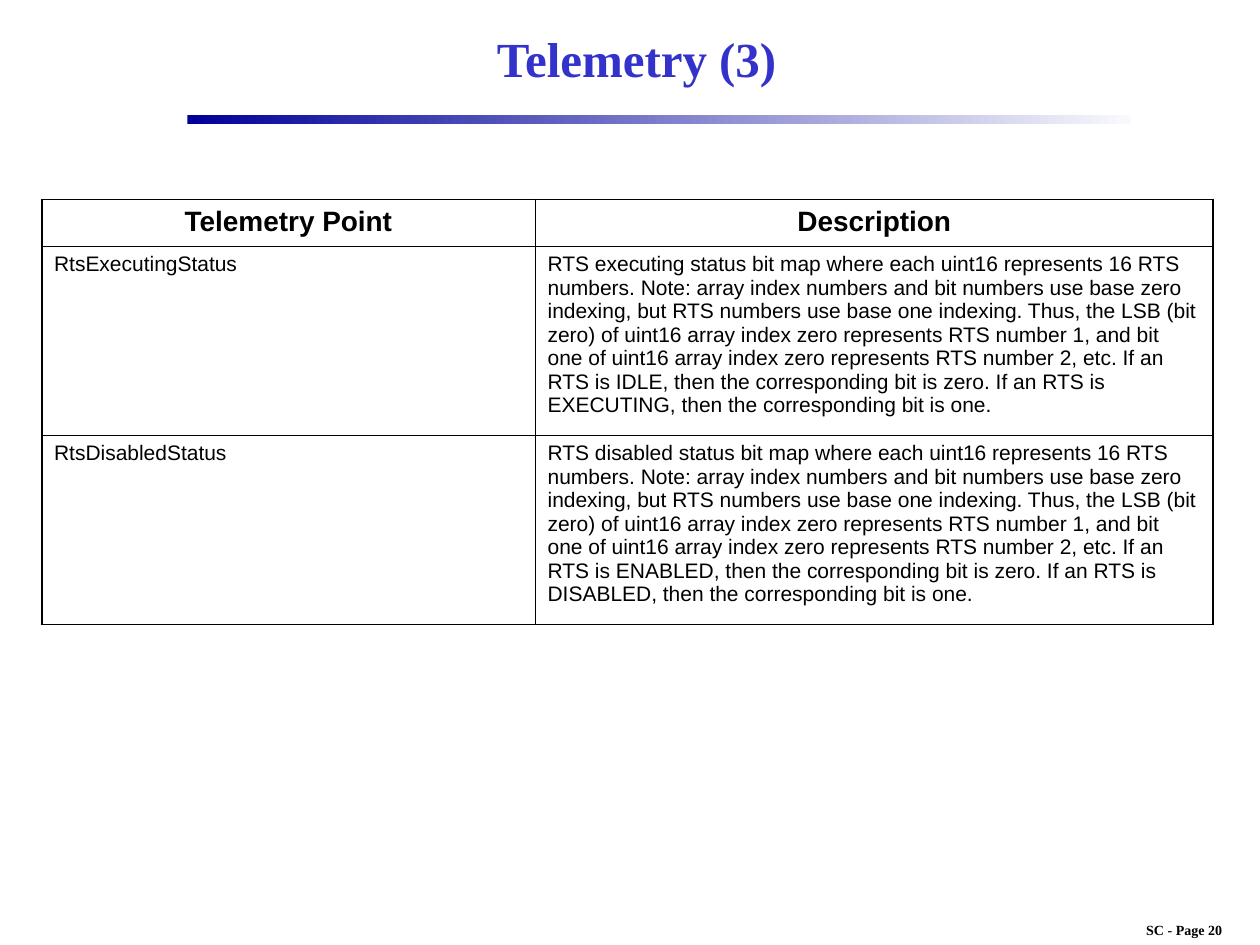
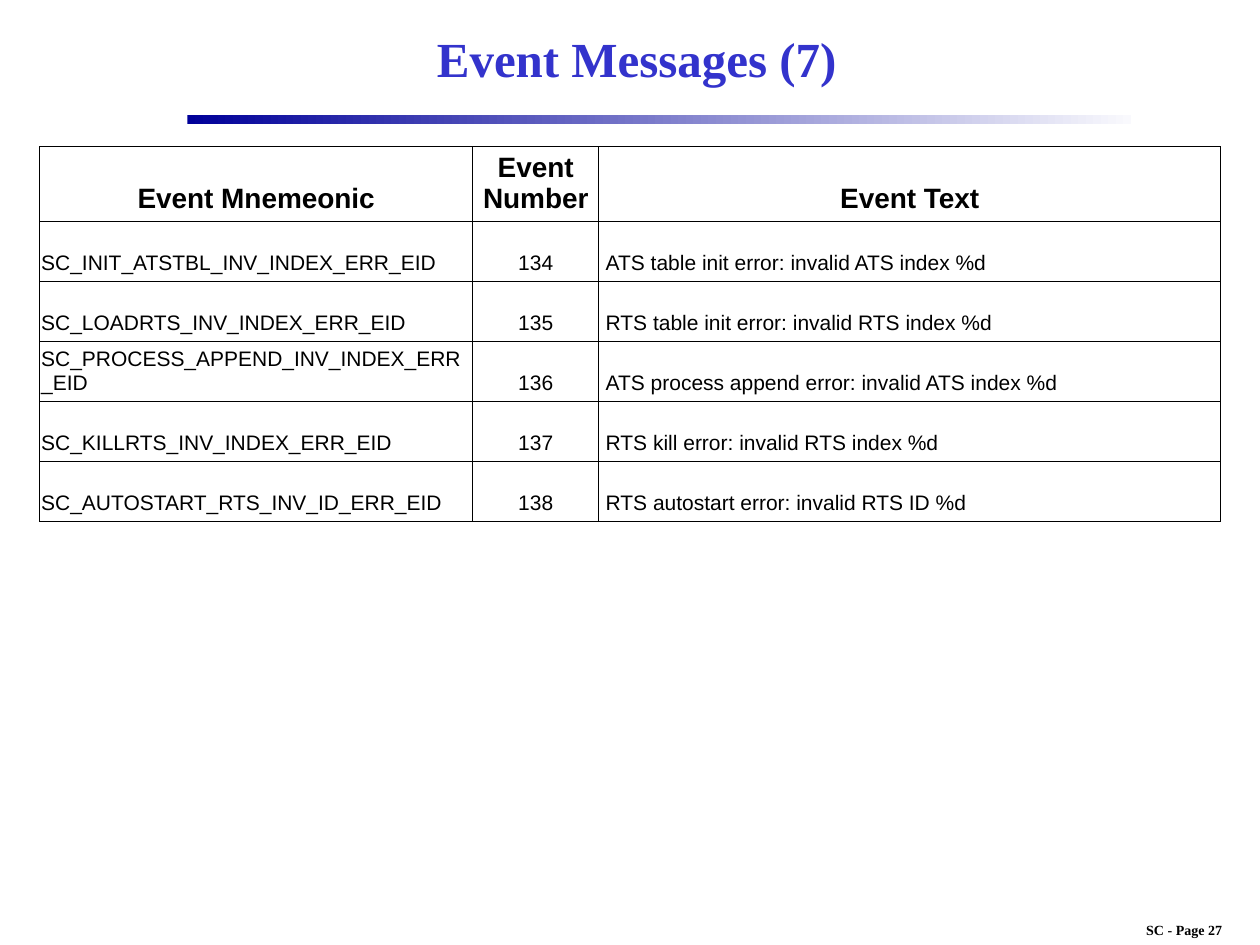
"""Build two table slides: telemetry points and event messages."""
from lxml import etree
from pptx import Presentation
from pptx.dml.color import RGBColor
from pptx.enum.shapes import MSO_SHAPE
from pptx.enum.text import MSO_ANCHOR, MSO_AUTO_SIZE, PP_ALIGN
from pptx.oxml.ns import qn
from pptx.util import Cm, Pt

LEFT, CENTER = PP_ALIGN.LEFT, PP_ALIGN.CENTER
TOP, MIDDLE, BOTTOM = MSO_ANCHOR.TOP, MSO_ANCHOR.MIDDLE, MSO_ANCHOR.BOTTOM
RECTANGLE = MSO_SHAPE.RECTANGLE
NO_AUTO_SIZE = MSO_AUTO_SIZE.NONE

TITLE_BLUE = RGBColor(0x33, 0x33, 0xCC)
BAND_START = RGBColor(0x00, 0x00, 0x99)
BAND_END = RGBColor(0xF9, 0xF9, 0xFD)
BLACK = RGBColor(0x00, 0x00, 0x00)
SERIF, SANS = "Times New Roman", "Arial"

TITLE_PLACE = (3.87, 0.22, 17.93, 1.9)
BAND_PLACE = (3.78, 2.32, 19.02, 0.18)
FOOTER_PLACE = (22.35, 18.45, 3.05, 0.58)
THIN = 0.45

BIT_MAP_TEXT = (
    "RTS {name} status bit map where each uint16 represents 16 RTS numbers. "
    "Note: array index numbers and bit numbers use base zero indexing, but RTS "
    "numbers use base one indexing. Thus, the LSB (bit zero) of uint16 array "
    "index zero represents RTS number 1, and bit one of uint16 array index zero "
    "represents RTS number 2, etc. If an RTS is {zero}, then the corresponding "
    "bit is zero. If an RTS is {one}, then the corresponding bit is one."
)

SLIDES = [
    {
        "title": "Telemetry (3)",
        "page": 20,
        "corner": (0.84, 4.02),
        "widths": (9.95, 13.67),
        "header_height": 0.93,
        "row_height": 3.8,
        "outline": 1.08,
        "anchor": TOP,
        "alignments": (LEFT, LEFT),
        "left_margins": (0.25, 0.25),
        "right_margin": 0.3,
        "header_margin": 0.25,
        "top_margin": 0.13,
        "rows": [
            ("Telemetry Point", "Description"),
            ("RtsExecutingStatus",
             BIT_MAP_TEXT.format(name="executing", zero="IDLE", one="EXECUTING")),
            ("RtsDisabledStatus",
             BIT_MAP_TEXT.format(name="disabled", zero="ENABLED", one="DISABLED")),
        ],
    },
    {
        "title": "Event Messages (7)",
        "page": 27,
        "corner": (0.8, 2.96),
        "widths": (8.73, 2.54, 12.54),
        "header_height": 1.49,
        "row_height": 1.21,
        "outline": THIN,
        "anchor": BOTTOM,
        "alignments": (LEFT, CENTER, LEFT),
        "left_margins": (0.03, 0.03, 0.14),
        "right_margin": 0.03,
        "header_margin": 0.03,
        "top_margin": 0.01,
        "rows": [
            ("Event Mnemeonic", "Event Number", "Event Text"),
            ("SC_INIT_ATSTBL_INV_INDEX_ERR_EID", "134",
             "ATS table init error: invalid ATS index %d"),
            ("SC_LOADRTS_INV_INDEX_ERR_EID", "135",
             "RTS table init error: invalid RTS index %d"),
            ("SC_PROCESS_APPEND_INV_INDEX_ERR_EID", "136",
             "ATS process append error: invalid ATS index %d"),
            ("SC_KILLRTS_INV_INDEX_ERR_EID", "137",
             "RTS kill error: invalid RTS index %d"),
            ("SC_AUTOSTART_RTS_INV_ID_ERR_EID", "138",
             "RTS autostart error: invalid RTS ID %d"),
        ],
    },
]


def lengths(values):
    return [Cm(value) for value in values]


def write(frame, text, font, size, color, bold, alignment):
    para = frame.paragraphs[0]
    para.alignment = alignment
    span = para.add_run()
    span.text = text
    span.font.name = font
    span.font.size = Pt(size)
    span.font.bold = bold
    span.font.color.rgb = color


def add_title(page, text):
    title = page.shapes.title
    title.left, title.top, title.width, title.height = lengths(TITLE_PLACE)
    frame = title.text_frame
    frame.auto_size = NO_AUTO_SIZE
    frame.vertical_anchor = MIDDLE
    write(frame, text, SERIF, 28, TITLE_BLUE, True, CENTER)


def add_band(page):
    band = page.shapes.add_shape(RECTANGLE, *lengths(BAND_PLACE))
    band.shadow.inherit = False
    band.line.fill.background()
    band.fill.gradient()
    band.fill.gradient_angle = 0
    for stop, color in zip(band.fill.gradient_stops, (BAND_START, BAND_END)):
        stop.color.rgb = color


def add_footer(page, number):
    box = page.shapes.add_textbox(*lengths(FOOTER_PLACE))
    box.text_frame.word_wrap = False
    write(box.text_frame, f"SC - Page {number}", SERIF, 8, BLACK, True, CENTER)


def set_borders(cell, widths):
    properties = cell._tc.get_or_add_tcPr()
    for side, width in zip("LRTB", widths):
        line = etree.SubElement(properties, qn(f"a:ln{side}"), w=str(Pt(width)))
        fill = etree.SubElement(line, qn("a:solidFill"))
        etree.SubElement(fill, qn("a:srgbClr"), val=str(BLACK))


def add_grid(page, content):
    rows, widths = content["rows"], content["widths"]
    heights = [content["header_height"]] + [content["row_height"]] * (len(rows) - 1)
    place = (*content["corner"], sum(widths), sum(heights))
    table = page.shapes.add_table(len(rows), len(widths), *lengths(place)).table
    table.first_row = table.horz_banding = False
    for column, width in zip(table.columns, widths):
        column.width = Cm(width)
    for row, height in zip(table.rows, heights):
        row.height = Cm(height)

    outline, last = content["outline"], len(widths) - 1
    header_margin = content["header_margin"]
    for r, texts in enumerate(rows):
        is_header = r == 0
        for c, text in enumerate(texts):
            cell = table.cell(r, c)
            cell.margin_left = Cm(header_margin if is_header else content["left_margins"][c])
            cell.margin_right = Cm(header_margin if is_header else content["right_margin"])
            cell.margin_top = Cm(content["top_margin"])
            cell.margin_bottom = Cm(0.13)
            cell.vertical_anchor = content["anchor"]
            on_outline = (c == 0, c == last, is_header, False)
            set_borders(cell, [outline if edge else THIN for edge in on_outline])
            cell.fill.background()
            alignment = CENTER if is_header else content["alignments"][c]
            write(cell.text_frame, text, SANS, 16 if is_header else 12, BLACK,
                  is_header, alignment)


def main():
    deck = Presentation()
    deck.slide_width, deck.slide_height = Cm(25.4), Cm(19.05)
    title_only = deck.slide_layouts[5]
    for content in SLIDES:
        page = deck.slides.add_slide(title_only)
        add_title(page, content["title"])
        add_band(page)
        add_footer(page, content["page"])
        add_grid(page, content)
    deck.save("out.pptx")


if __name__ == "__main__":
    main()
